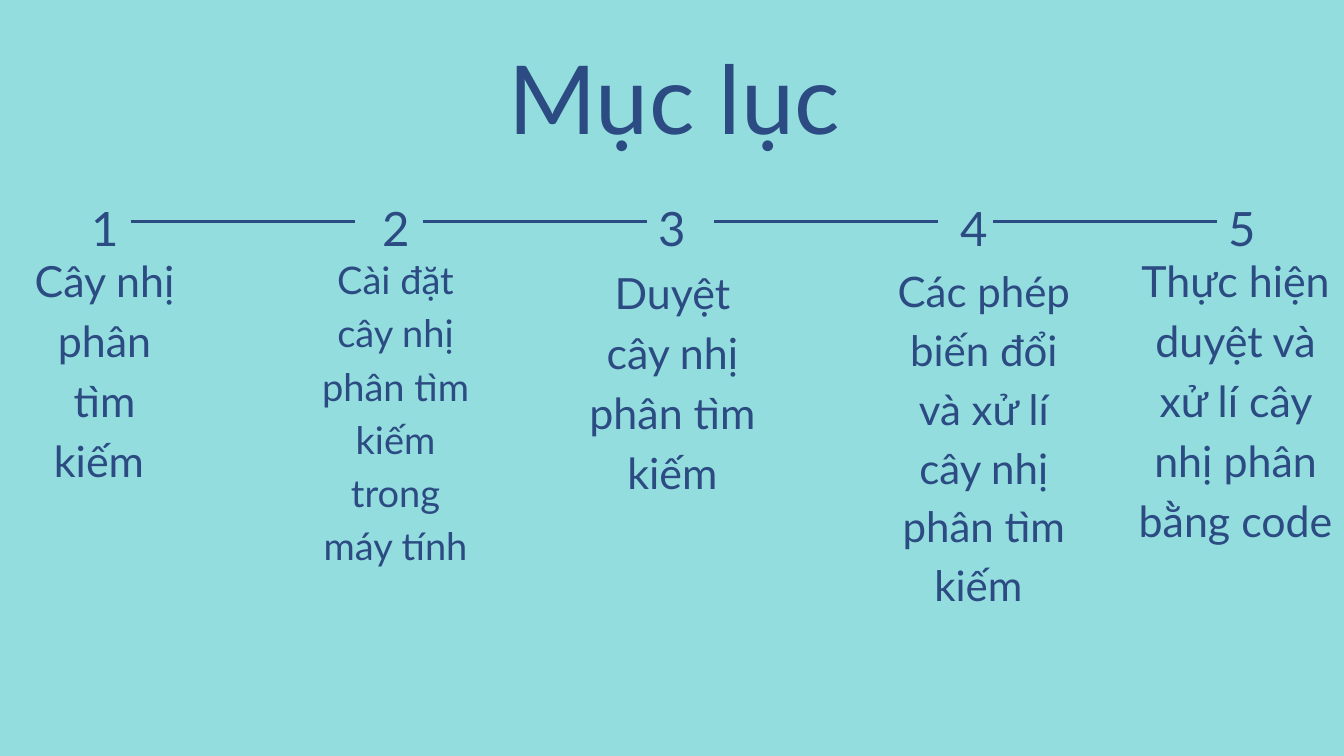
from dataclasses import dataclass

from lxml.etree import SubElement
from pptx import Presentation
from pptx.dml.color import RGBColor
from pptx.enum.shapes import MSO_CONNECTOR
from pptx.enum.text import PP_ALIGN
from pptx.oxml.ns import qn
from pptx.slide import Slide
from pptx.text.text import _Paragraph
from pptx.util import Cm, Pt

HUES = {"back": "94DDDE", "ink": "2B4B82"}
FACE = "Lato"


@dataclass
class Box:
    left: float
    top: float
    width: float
    height: float


@dataclass
class Topic:
    mark: float
    box: Box
    text: str
    size: float = 46


TOPICS = [
    Topic(3.02, Box(0.99, 9.3, 5.92, 11.13), "Cây nhị phân tìm kiếm "),
    Topic(14.02, Box(12.04, 9.42, 5.82, 15.8),
          "Cài đặt cây nhị phân tìm kiếm trong máy tính", 40.7),
    Topic(24.46, Box(21.92, 9.76, 6.99, 13.35), "Duyệt cây nhị phân tìm kiếm"),
    Topic(35.86, Box(33.63, 9.73, 7.11, 17.48),
          "Các phép biến đổi và xử lí cây nhị phân tìm kiếm ", 45),
    Topic(46, Box(43.03, 9.3, 7.34, 17.88),
          "Thực hiện duyệt và xử lí cây nhị phân bằng code "),
]
RULES = [4.95, 16, 27, 37.54]
SPAN = 8.47
LEVEL = 8.38


def write(slide: Slide, box: Box, text: str, size: float,
          lead: float = 1.4) -> _Paragraph:
    shape = slide.shapes.add_textbox(
        Cm(box.left), Cm(box.top), Cm(box.width), Cm(box.height))
    frame = shape.text_frame
    frame.word_wrap = True
    frame.margin_left = frame.margin_right = 0
    frame.margin_top = frame.margin_bottom = 0
    line = frame.paragraphs[0]
    line.text = text
    line.alignment = PP_ALIGN.CENTER
    line.line_spacing = Pt(round(size * lead, 1))
    line.font.name = FACE
    line.font.size = Pt(size)
    line.font.color.rgb = RGBColor.from_string(HUES["ink"])
    return line


def rule(slide: Slide, left: float) -> None:
    line = slide.shapes.add_connector(
        MSO_CONNECTOR.STRAIGHT,
        Cm(left), Cm(LEVEL), Cm(left + SPAN), Cm(LEVEL))
    line.line.color.rgb = RGBColor.from_string(HUES["ink"])
    line.line.width = Pt(3.46)
    SubElement(line._element.spPr, qn("a:effectLst"))


def main() -> None:
    deck = Presentation()
    deck.slide_width, deck.slide_height = Cm(50.8), Cm(28.58)
    slide = deck.slides.add_slide(deck.slide_layouts[6])
    fill = slide.background.fill
    fill.solid()
    fill.fore_color.rgb = RGBColor.from_string(HUES["back"])

    write(slide, Box(3.07, 1.5, 44.83, 4.32), "Mục lục", 102, 1.2)
    for count, topic in enumerate(TOPICS, 1):
        write(slide, topic.box, topic.text, topic.size)
        mark = write(slide, Box(topic.mark, 7.19, 1.93, 2.34), str(count), 50.7)
        mark.runs[0]._r.get_or_add_rPr().set("spc", "870")
    for left in RULES:
        rule(slide, left)
    deck.save("out.pptx")


if __name__ == "__main__":
    main()
